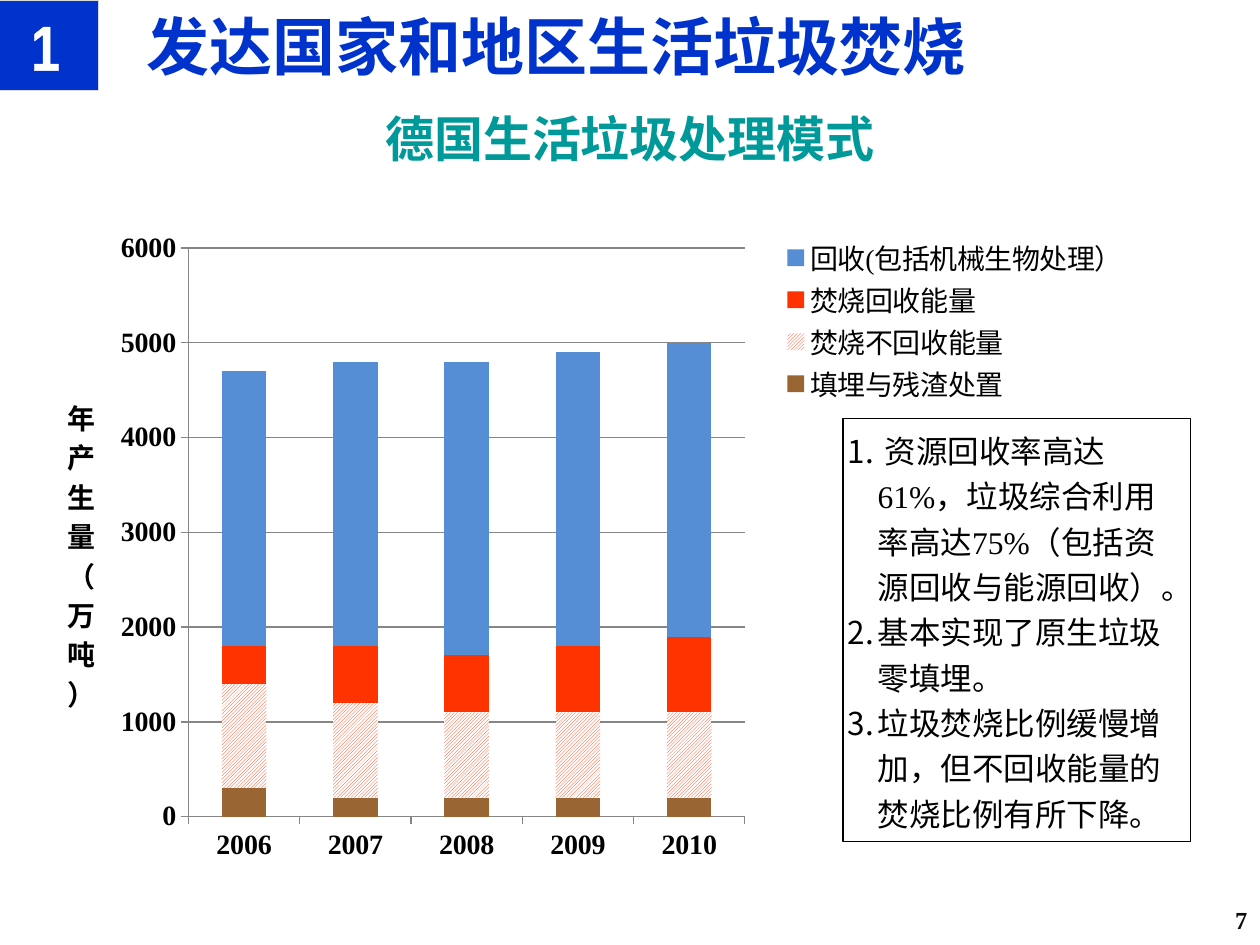
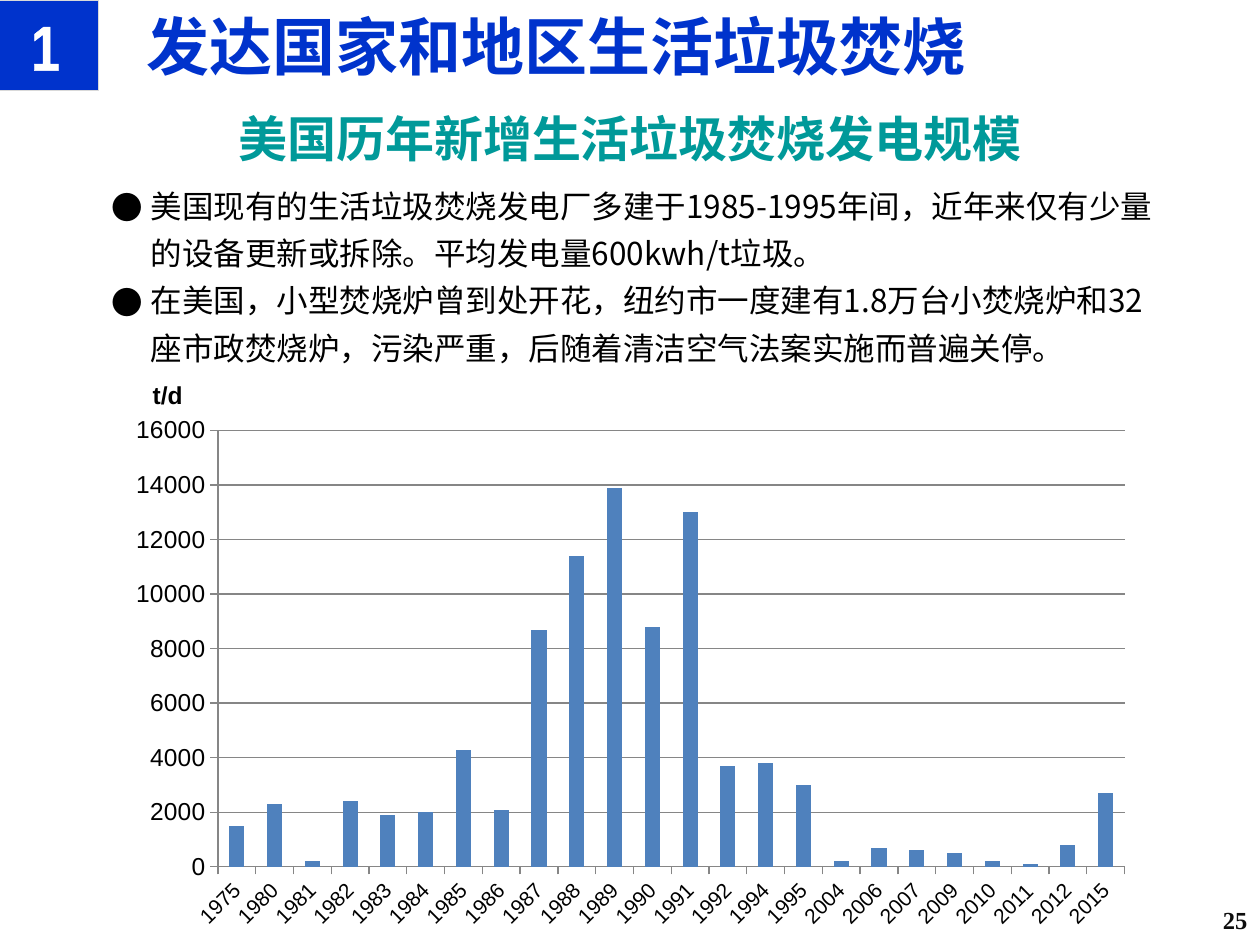
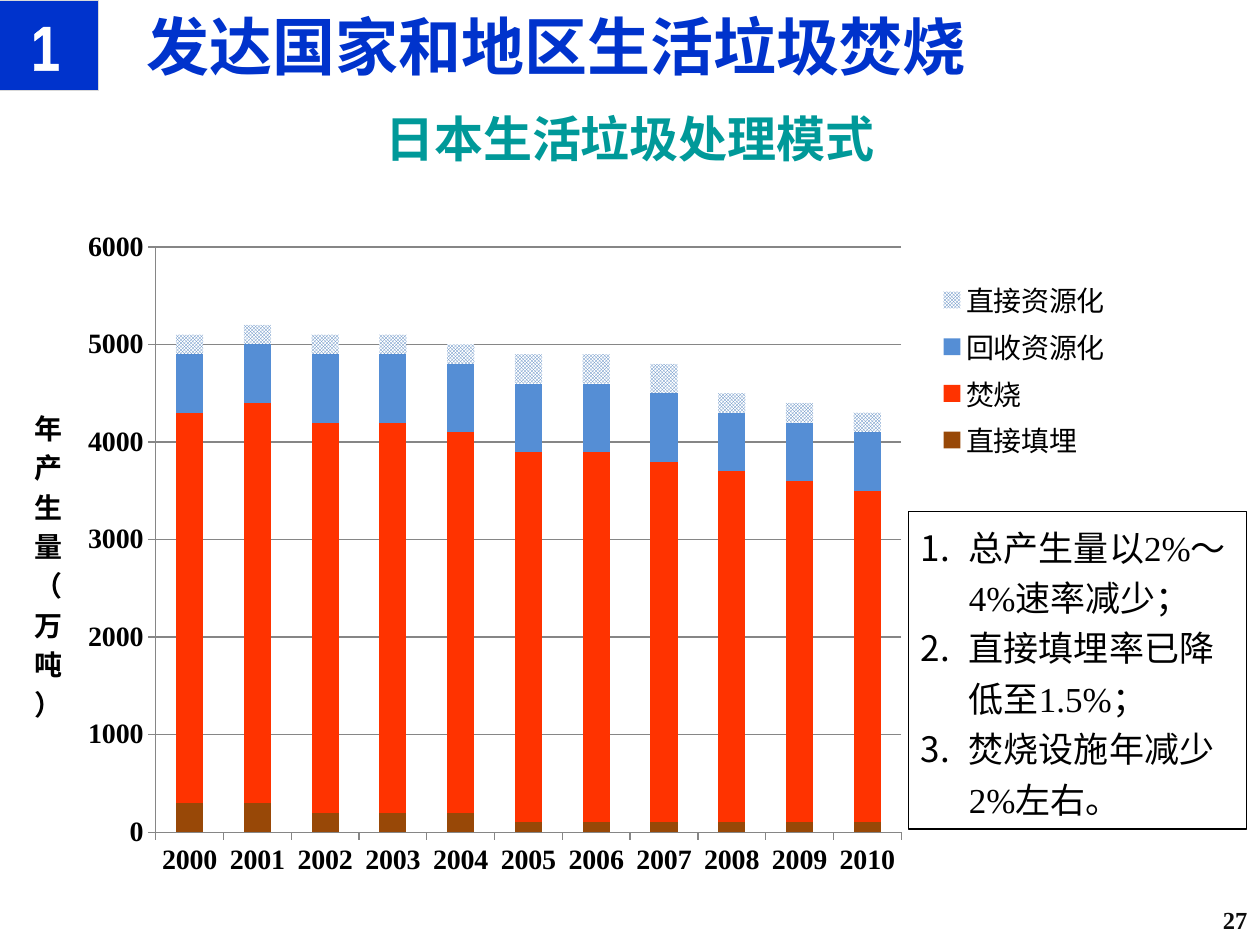
from dataclasses import dataclass

from lxml.etree import SubElement
from pptx import Presentation
from pptx.chart.data import CategoryChartData
from pptx.dml.color import RGBColor
from pptx.enum.chart import XL_CHART_TYPE, XL_LEGEND_POSITION, XL_TICK_MARK
from pptx.enum.dml import MSO_PATTERN
from pptx.enum.shapes import MSO_SHAPE
from pptx.enum.text import MSO_ANCHOR, MSO_AUTO_SIZE, PP_ALIGN
from pptx.oxml import parse_xml
from pptx.oxml.ns import nsdecls, qn
from pptx.util import Pt


@dataclass(frozen=True)
class Theme:
    blue: str = "0033CC"
    teal: str = "009999"
    black: str = "000000"
    white: str = "FFFFFF"
    page: str = "0D0D0D"
    badge_line: str = "D9D9D9"
    grid: str = "868686"
    red: str = "FF3300"
    sky: str = "558ED5"
    steel: str = "4F81BD"
    earth: str = "996633"
    brown: str = "984807"
    serif: str = "Times New Roman"
    sans: str = "Arial"
    narrow: str = "Arial Narrow"
    cjk: str = "Noto Sans CJK SC"
    title_size: int = 36
    subtitle_size: int = 28
    large_size: int = 20
    body_size: int = 18
    chart_size: int = 16
    small_size: int = 14
    tiny_size: int = 12


THEME = Theme()

# Content: frames are left, top, width, height in points;
# plot and legend areas and axis title positions are fractions of the chart
TITLE = "发达国家和地区生活垃圾焚烧"
SECTION = "1"
TONNAGE = "年产生量（万吨）"

SLIDES = [
    dict(
        subtitle="德国生活垃圾处理模式",
        page="7",
        chart=dict(
            frame=(23, 125.3, 632.2, 374.4),
            stacked=True,
            years=range(2006, 2011),
            series=[
                ("填埋与残渣处置", THEME.earth, [300, 200, 200, 200, 200]),
                ("焚烧不回收能量", (MSO_PATTERN.DARK_UPWARD_DIAGONAL, THEME.red),
                 [1100, 1000, 900, 900, 900]),
                ("焚烧回收能量", THEME.red, [400, 600, 600, 700, 800]),
                ("回收(包括机械生物处理）", THEME.sky, [2900, 3000, 3100, 3100, 3100]),
            ],
            top=6000, step=1000,
            plot=(0.134, 0.044, 0.503, 0.868),
            legend=(0.667, 0.025, 0.32, 0.26), legend_font=THEME.serif,
            unit=TONNAGE, unit_at=(0.02, 0.26),
            label_font=THEME.serif, label_size=THEME.chart_size,
            year_size=THEME.chart_size,
        ),
        notes=dict(
            frame=(481.7, 239, 198.7, 241.9),
            text=[
                " 资源回收率高达61%，垃圾综合利用率高达75%（包括资源回收与能源回收）。",
                "基本实现了原生垃圾零填埋。",
                "垃圾焚烧比例缓慢增加，但不回收能量的焚烧比例有所下降。",
            ],
            line=THEME.black, margin=2.9, indent=17, bullet="number",
            size=THEME.body_size, font=THEME.serif, spacing=1.2,
        ),
    ),
    dict(
        subtitle="美国历年新增生活垃圾焚烧发电规模",
        page="25",
        chart=dict(
            frame=(67, 207.4, 586.8, 338.4),
            stacked=False,
            years=[1975, *range(1980, 1993), 1994, 1995, 2004, 2006, 2007,
                   *range(2009, 2013), 2015],
            series=[
                ("Series 1", THEME.steel,
                 [1500, 2300, 200, 2400, 1900, 2000, 4300, 2100, 8700, 11400, 13900, 8800,
                  13000, 3700, 3800, 3000, 200, 700, 600, 500, 200, 100, 800, 2700]),
            ],
            top=16000, step=2000,
            plot=(0.098, 0.114, 0.883, 0.737),
            legend=None, legend_font=None,
            unit="t/d", unit_at=(0.03, 0.02),
            label_font=THEME.sans, label_size=THEME.small_size,
            year_size=THEME.tiny_size,
        ),
        notes=dict(
            frame=(56.9, 97.9, 612, 116.6),
            text=[
                "美国现有的生活垃圾焚烧发电厂多建于1985-1995年间，近年来仅有少量的设备更新或拆除。"
                "平均发电量600kwh/t垃圾。",
                "在美国，小型焚烧炉曾到处开花，纽约市一度建有1.8万台小焚烧炉和32座市政焚烧炉，"
                "污染严重，后随着清洁空气法案实施而普遍关停。",
            ],
            indent=22.3, bullet="●",
            size=THEME.body_size, font=THEME.cjk, spacing=1.25,
        ),
    ),
    dict(
        subtitle="日本生活垃圾处理模式",
        page="27",
        chart=dict(
            frame=(7.2, 127.4, 649.4, 382.3),
            stacked=True,
            years=range(2000, 2011),
            series=[
                ("直接填埋", THEME.brown,
                 [300, 300, 200, 200, 200, 100, 100, 100, 100, 100, 100]),
                ("焚烧", THEME.red,
                 [4000, 4100, 4000, 4000, 3900, 3800, 3800, 3700, 3600, 3500, 3400]),
                ("回收资源化", THEME.sky,
                 [600, 600, 700, 700, 700, 700, 700, 700, 600, 600, 600]),
                ("直接资源化", (MSO_PATTERN.SMALL_CHECKER_BOARD, THEME.steel),
                 [200, 200, 200, 200, 200, 300, 300, 300, 200, 200, 200]),
            ],
            top=6000, step=1000,
            plot=(0.126, 0.036, 0.656, 0.875),
            legend=(0.81, 0.075, 0.16, 0.29), legend_font=THEME.cjk,
            unit=TONNAGE, unit_at=(0.015, 0.264),
            label_font=THEME.serif, label_size=THEME.chart_size,
            year_size=THEME.chart_size,
        ),
        notes=dict(
            frame=(519.1, 292.3, 193, 181.4),
            text=["总产生量以2%～4%速率减少；", "直接填埋率已降低至1.5%；", "焚烧设施年减少2%左右。"],
            line=THEME.black, indent=27.4, bullet="number",
            size=THEME.large_size, font=THEME.serif, spacing=1.2,
        ),
    ),
]


# Text
def write(frame, text, *, size, font, color=THEME.black, bold=False, align=PP_ALIGN.LEFT,
          spacing=None, bullet=None, indent=0, outline=None):
    """Fill a text frame with one paragraph, or one for each item of a list."""
    for index, words in enumerate([text] if isinstance(text, str) else text):
        paragraph = frame.add_paragraph() if index else frame.paragraphs[0]
        paragraph.alignment = align
        if spacing:
            paragraph.line_spacing = spacing
        if bullet:
            properties = paragraph._p.get_or_add_pPr()
            properties.set("marL", str(Pt(indent)))
            properties.set("indent", str(-Pt(indent)))
            SubElement(properties, qn("a:buFont"), typeface=THEME.cjk)
            if bullet == "number":
                SubElement(properties, qn("a:buAutoNum"), type="arabicPeriod")
            else:
                SubElement(properties, qn("a:buChar"), char=bullet)
        run = paragraph.add_run()
        run.text = words
        style_font(run.font, size, font, color, bold)
        run_properties = run._r.get_or_add_rPr()
        SubElement(run_properties, qn("a:ea"), typeface=THEME.cjk)
        if outline:
            run_properties.insert(0, parse_xml(
                f'<a:ln {nsdecls("a")} w="{Pt(0.75)}"><a:solidFill>'
                f'<a:srgbClr val="{outline}"/></a:solidFill></a:ln>'))


def style_font(font, size, name, color=THEME.black, bold=False):
    font.size, font.name, font.bold = Pt(size), name, bold
    font.color.rgb = RGBColor.from_string(color)


def set_frame(frame, anchor, margin=7.2):
    frame.word_wrap = True
    frame.auto_size = MSO_AUTO_SIZE.NONE
    frame.vertical_anchor = anchor
    frame.margin_left = frame.margin_right = Pt(margin)
    frame.margin_top = frame.margin_bottom = Pt(3.6)


def add_text(slide, frame, text, *, fill=None, line=None, anchor=MSO_ANCHOR.MIDDLE,
             margin=7.2, **style):
    place = map(Pt, frame)
    if fill or line:
        box = slide.shapes.add_shape(MSO_SHAPE.RECTANGLE, *place)
        box.shadow.inherit = False
        box.line.color.rgb = RGBColor.from_string(line)
        box.line.width = Pt(0.75)
        if fill:
            box.fill.solid()
            box.fill.fore_color.rgb = RGBColor.from_string(fill)
        else:
            box.fill.background()
    else:
        box = slide.shapes.add_textbox(*place)
    set_frame(box.text_frame, anchor, margin)
    write(box.text_frame, text, **style)


# Charts
def set_layout(parent, area, after=None, inner=False):
    """Fix the place of a chart part, as fractions of the chart."""
    for stale in parent.findall(qn("c:layout")):
        parent.remove(stale)
    layout = parse_xml(f'<c:layout {nsdecls("c")}><c:manualLayout/></c:layout>')
    settings = [("layoutTarget", "inner")] if inner else []
    settings += [("xMode", "edge"), ("yMode", "edge"), *zip("xywh", area)]
    for tag, value in settings:
        SubElement(layout[0], qn(f"c:{tag}"), val=str(value))
    parent.insert(parent.index(parent.find(qn(after))) + 1 if after else 0, layout)


def paint(fill, color):
    if isinstance(color, tuple):
        pattern, ink = color
        fill.patterned()
        fill.pattern = pattern
        fill.fore_color.rgb = RGBColor.from_string(ink)
        fill.back_color.rgb = RGBColor.from_string(THEME.white)
    else:
        fill.solid()
        fill.fore_color.rgb = RGBColor.from_string(color)


def draw_line(line):
    line.color.rgb = RGBColor.from_string(THEME.grid)
    line.width = Pt(0.75)


def add_waste_chart(slide, *, frame, stacked, years, series, top, step, plot, legend,
                    legend_font, unit, unit_at, label_font, label_size, year_size):
    data = CategoryChartData()
    data.categories = [str(year) for year in years]
    for name, _, tonnes in series:
        data.add_series(name, tonnes)
    kind = XL_CHART_TYPE.COLUMN_STACKED if stacked else XL_CHART_TYPE.COLUMN_CLUSTERED
    chart = slide.shapes.add_chart(kind, *map(Pt, frame), data).chart
    chart.has_title = False
    style_font(chart.font, label_size, label_font)

    columns = chart.plots[0]
    columns.vary_by_categories = False
    columns.gap_width = 150
    if stacked:
        columns.overlap = 100
    for column, (_, color, _) in zip(columns.series, series):
        paint(column.format.fill, color)
    set_layout(chart._chartSpace.chart.plotArea, plot, inner=True)

    # Axes
    for axis, size in ((chart.category_axis, year_size), (chart.value_axis, label_size)):
        axis.major_tick_mark = XL_TICK_MARK.OUTSIDE
        draw_line(axis.format.line)
        style_font(axis.tick_labels.font, size, label_font, bold=stacked)
    amounts = chart.value_axis
    amounts.minimum_scale, amounts.maximum_scale, amounts.major_unit = 0, top, step
    amounts.has_major_gridlines = True
    draw_line(amounts.major_gridlines.format.line)
    if not stacked:
        slant = chart.category_axis._element.find(qn("c:txPr")).find(qn("a:bodyPr"))
        slant.set("rot", "-2700000")

    # Unit beside or above the value axis
    write(amounts.axis_title.text_frame, unit, size=label_size, font=label_font, bold=True,
          align=PP_ALIGN.CENTER)
    unit_title = amounts.axis_title._element
    direction = unit_title.find(".//" + qn("a:bodyPr"))
    direction.set("rot", "0")
    direction.set("vert", "wordArtVertRtl" if stacked else "horz")
    set_layout(unit_title, unit_at, after="c:tx")

    chart.has_legend = legend is not None
    if legend:
        chart.legend.position = XL_LEGEND_POSITION.RIGHT
        chart.legend.include_in_layout = False
        style_font(chart.legend.font, THEME.chart_size, legend_font)
        set_layout(chart.legend._element, legend, after="c:legendPos")


# Parts shared by all slides
def add_header(slide, subtitle, page):
    title = slide.shapes.title
    title.left, title.top, title.width, title.height = map(Pt, (76.3, 0, 643.7, 51.8))
    set_frame(title.text_frame, MSO_ANCHOR.MIDDLE)
    write(title.text_frame, TITLE, size=THEME.title_size, font=THEME.cjk,
          color=THEME.blue, bold=True)
    add_text(slide, (-4.3, 0, 60.5, 51.8), SECTION, fill=THEME.blue, line=THEME.badge_line,
             margin=2.9, size=THEME.title_size, font=THEME.narrow, color=THEME.white,
             bold=True, align=PP_ALIGN.CENTER, outline=THEME.white)
    add_text(slide, (0, 54.7, 720, 44.6), subtitle, size=THEME.subtitle_size,
             font=THEME.serif, color=THEME.teal, bold=True, align=PP_ALIGN.CENTER, spacing=1.1)
    add_text(slide, (635.8, 511.2, 84.2, 28.8), page, size=THEME.small_size,
             font=THEME.serif, color=THEME.page, bold=True, align=PP_ALIGN.RIGHT)


def main():
    deck = Presentation()
    deck.slide_width, deck.slide_height = Pt(720), Pt(540)
    title_only = deck.slide_layouts[5]
    for content in SLIDES:
        slide = deck.slides.add_slide(title_only)
        add_header(slide, content["subtitle"], content["page"])
        add_waste_chart(slide, **content["chart"])
        add_text(slide, anchor=MSO_ANCHOR.TOP, **content["notes"])
    deck.save("out.pptx")


if __name__ == "__main__":
    main()
